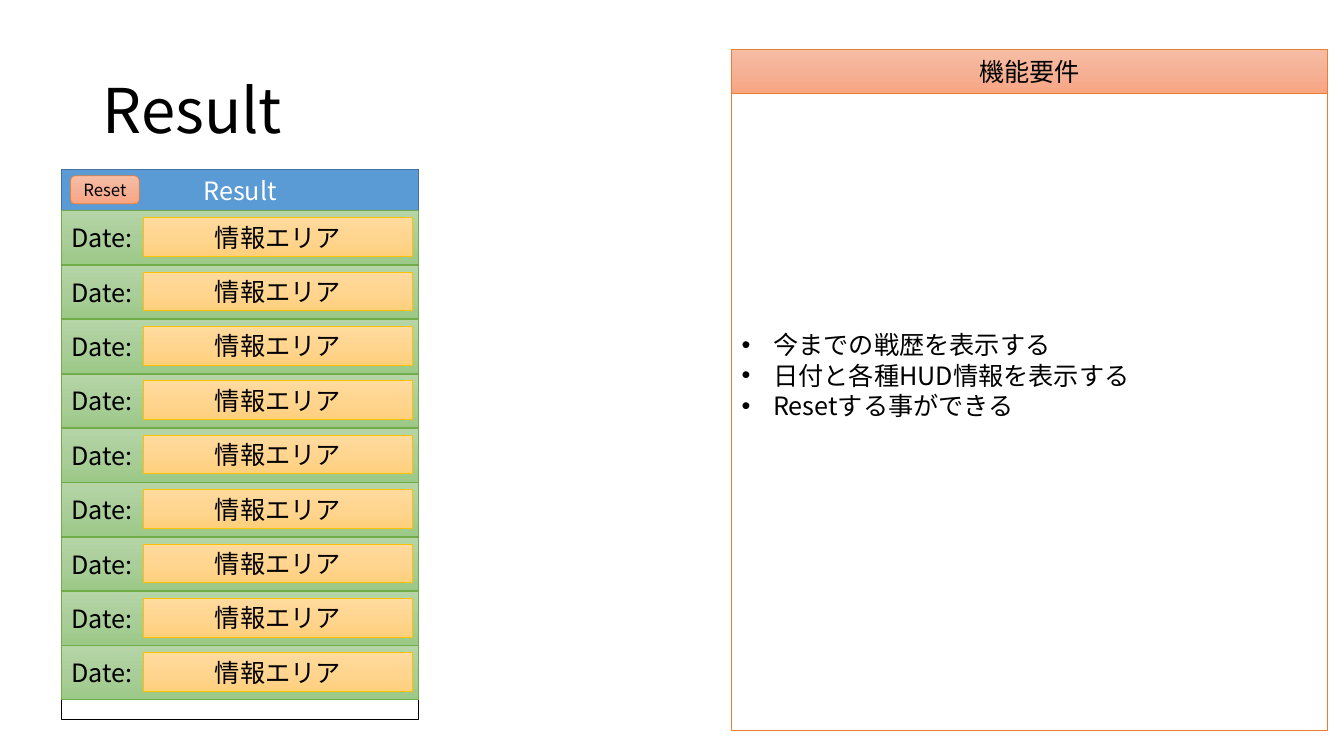
from dataclasses import dataclass
from lxml import etree
from pptx import Presentation
from pptx.dml.color import RGBColor
from pptx.enum.shapes import MSO_SHAPE
from pptx.enum.text import MSO_ANCHOR, PP_ALIGN
from pptx.oxml.ns import qn
from pptx.util import Pt

RECT, ROUNDED = MSO_SHAPE.RECTANGLE, MSO_SHAPE.ROUNDED_RECTANGLE
LEFT, CENTER = PP_ALIGN.LEFT, PP_ALIGN.CENTER
MIDDLE = MSO_ANCHOR.MIDDLE


@dataclass(frozen=True)
class Theme:
    font: str = "Noto Sans CJK JP"
    title: int = 44
    body: int = 18
    button: int = 12
    ink: str = "000000"
    paper: str = "FFFFFF"
    blue: str = "5B9BD5"
    blue_edge: str = "43739E"
    orange: tuple = ("F7BDA5", "F5B196", "F8A582")
    orange_edge: str = "ED7D31"
    green: tuple = ("B5D5A7", "AACE9A", "9CC987")
    green_edge: str = "70AD47"
    gold: tuple = ("FFDB9E", "FFD590", "FFD07C")
    gold_edge: str = "FFC000"


THEME = Theme()

HEADING = "Result"
SCREEN_HEADING = "Result"
RESET_LABEL = "Reset"
DATE_LABEL = "Date:"
INFO_LABEL = "情報エリア"
RECORD_COUNT = 9
REQUIREMENTS_HEADING = "機能要件"
REQUIREMENTS = [
    "今までの戦歴を表示する",
    "日付と各種HUD情報を表示する",
    "Resetする事ができる",
]

SCREEN_X, SCREEN_Y, SCREEN_W, SCREEN_H = 44, 121, 255, 393
BAR_H = 29.5
ROW_PITCH, ROW_H = 38.85, 38.4
INFO_DX, INFO_DY, INFO_W, INFO_H = 58.5, 5, 192, 27.6
PANEL_X, PANEL_Y, PANEL_W, PANEL_H = 522.7, 35.3, 425.5, 486.7
PANEL_BAR_H = 31.5
BULLET_INDENT = 22.5
PANEL_BOTTOM_INSET = 25


def write(frame, lines, size, color, align):
    frame.text = "\n".join(lines)
    frame.vertical_anchor = MIDDLE
    frame.word_wrap = True
    for paragraph in frame.paragraphs:
        paragraph.alignment = align
        for run in paragraph.runs:
            run.font.size = Pt(size)
            run.font.name = THEME.font
            run.font.color.rgb = RGBColor.from_string(color)
            east_asian = etree.SubElement(run.font._element, qn("a:ea"))
            east_asian.set("typeface", THEME.font)


def paint(shape, fill):
    if isinstance(fill, str):
        shape.fill.solid()
        shape.fill.fore_color.rgb = RGBColor.from_string(fill)
        return
    shape.fill.gradient()
    shape.fill.gradient_angle = 270
    stops = next(shape._element.iter(qn("a:gsLst")))
    for stop in list(stops):
        stops.remove(stop)
    for position, color in zip((0, 50000, 100000), fill):
        stop = etree.SubElement(stops, qn("a:gs"), pos=str(position))
        etree.SubElement(stop, qn("a:srgbClr"), val=color)


def add_box(shapes, box, fill, edge, edge_width, lines=(), size=THEME.body,
            color=THEME.ink, align=CENTER, kind=RECT):
    shape = shapes.add_shape(kind, *map(Pt, box))
    shape.shadow.inherit = False
    paint(shape, fill)
    shape.line.color.rgb = RGBColor.from_string(edge)
    shape.line.width = Pt(edge_width)
    if lines:
        write(shape.text_frame, lines, size, color, align)
    return shape


def add_bullets(frame):
    for paragraph in frame.paragraphs:
        props = paragraph._p.get_or_add_pPr()
        props.set("marL", str(Pt(BULLET_INDENT)))
        props.set("indent", str(-Pt(BULLET_INDENT)))
        etree.SubElement(props, qn("a:buFont"), typeface="Arial")
        etree.SubElement(props, qn("a:buChar"), char="•")


deck = Presentation()
deck.slide_width, deck.slide_height = Pt(960), Pt(540)
slide = deck.slides.add_slide(deck.slide_layouts[5])
shapes = slide.shapes

title = shapes.title
title.left, title.top, title.width, title.height = map(Pt, (66.2, 28.8, 828, 104.4))
write(title.text_frame, [HEADING], THEME.title, THEME.ink, LEFT)
title.text_frame.paragraphs[0].line_spacing = 0.9

add_box(shapes, (SCREEN_X, SCREEN_Y, SCREEN_W, SCREEN_H), THEME.paper, THEME.ink, 1)

requirements = add_box(shapes, (PANEL_X, PANEL_Y, PANEL_W, PANEL_H), THEME.paper,
                       THEME.orange_edge, 1, REQUIREMENTS, align=LEFT)
requirements.text_frame.margin_bottom = Pt(PANEL_BOTTOM_INSET)
add_bullets(requirements.text_frame)
add_box(shapes, (PANEL_X, PANEL_Y, PANEL_W, PANEL_BAR_H), THEME.orange,
        THEME.orange_edge, 0.5, [REQUIREMENTS_HEADING])

add_box(shapes, (SCREEN_X, SCREEN_Y, SCREEN_W, BAR_H), THEME.blue, THEME.blue_edge, 1,
        [SCREEN_HEADING], color=THEME.paper)
add_box(shapes, (SCREEN_X + 6.4, SCREEN_Y + 4.6, 49, 20), THEME.orange,
        THEME.orange_edge, 0.5, [RESET_LABEL], size=THEME.button, kind=ROUNDED)

for index in range(RECORD_COUNT):
    row_y = SCREEN_Y + BAR_H + index * ROW_PITCH
    record = shapes.add_group_shape().shapes
    add_box(record, (SCREEN_X, row_y, SCREEN_W, ROW_H), THEME.green,
            THEME.green_edge, 0.5, [DATE_LABEL], align=LEFT)
    add_box(record, (SCREEN_X + INFO_DX, row_y + INFO_DY, INFO_W, INFO_H), THEME.gold,
            THEME.gold_edge, 0.5, [INFO_LABEL])

deck.save("out.pptx")
